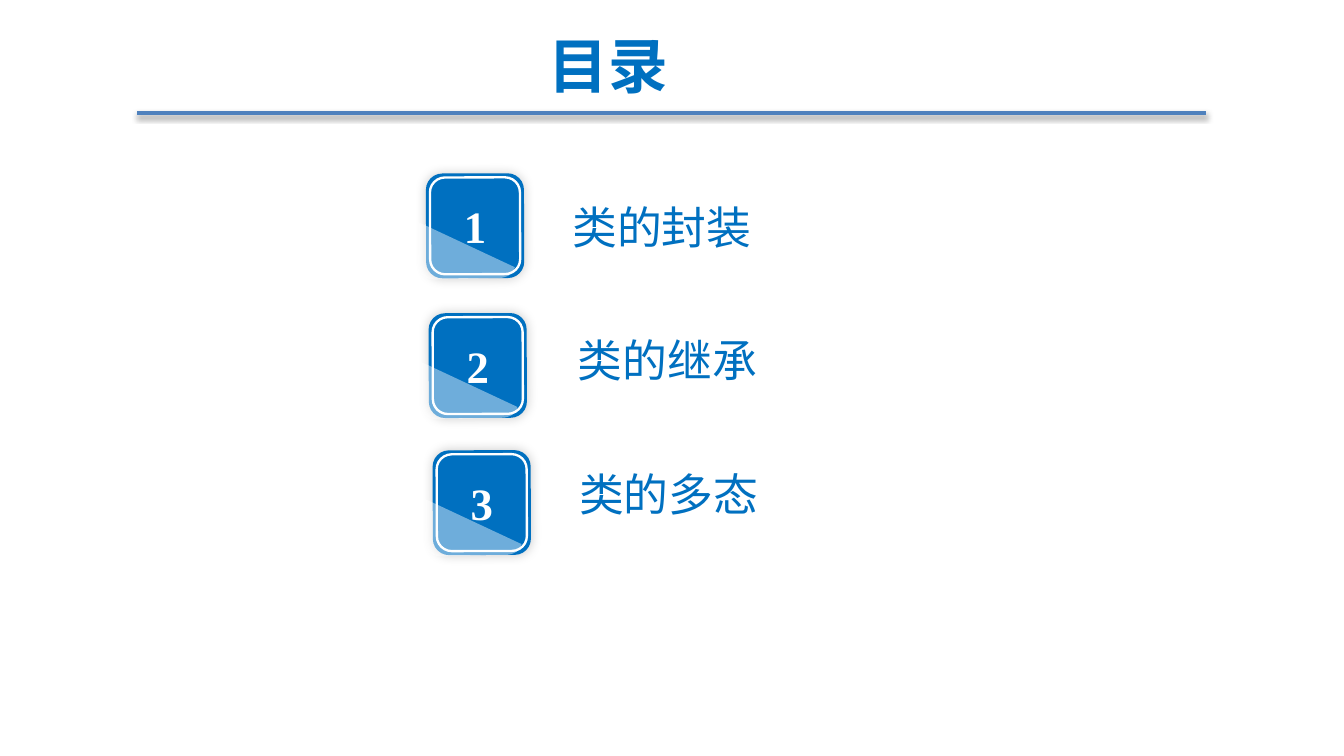
from pptx import Presentation
from pptx import util as u
from pptx.dml.color import RGBColor
from pptx.enum import shapes, text
from pptx.oxml import parse_xml
from pptx.oxml.ns import nsdecls, qn

WIDTH = 10
HEIGHT = WIDTH * 9 / 16
BLUE, RULE_BLUE, WHITE, BLACK = "0070C0", "4F81BD", "FFFFFF", "000000"
CJK, LATIN = "Noto Sans CJK SC", "Times New Roman"
TILT = -0.2

heading = "目录"
topics = [
    {"label": "类的封装", "badge": (3.17, 1.29), "box": (3.66, 1.44, 2.79, 0.5), "indent": 0.5},
    {"label": "类的继承", "badge": (3.19, 2.33), "box": (4.2, 2.43, 1.55, 0.5), "indent": 0},
    {"label": "类的多态", "badge": (3.22, 3.35), "box": (4.21, 3.42, 1.55, 0.5), "indent": 0},
]
gloss_start = (-0.06, 0.36)
gloss_edges = [
    [(0.66, 0.7)],
    [(0.65, 0.75), (0.6, 0.78), (0.54, 0.78)],
    [(0.06, 0.79)],
    [(-0.01, 0.79), (-0.06, 0.74), (-0.06, 0.69)],
]


def color(value):
    return RGBColor.from_string(value)


def inches(*values):
    return [u.Inches(value) for value in values]


def write(paragraph, words, size, font, ink, bold=False):
    run = paragraph.add_run()
    run.text = words
    run.font.size, run.font.name, run.font.bold = u.Pt(size), font, bold
    run.font.color.rgb = color(ink)
    run.font._element.get_or_add_latin().addnext(
        parse_xml(f'<a:ea {nsdecls("a")} typeface="{font}"/>'))


def cast_shadow(shape, opacity, blur, distance, angle):
    shape._element.spPr.append(parse_xml(
        f'<a:effectLst {nsdecls("a")}><a:outerShdw blurRad="{u.Pt(blur)}" '
        f'dist="{u.Pt(distance)}" dir="{angle * 60000}" algn="ctr" rotWithShape="0">'
        f'<a:srgbClr val="{BLACK}"><a:alpha val="{opacity * 1000}"/></a:srgbClr>'
        '</a:outerShdw></a:effectLst>'))


def curve(points, steps=8):
    for step in range(1, steps + 1):
        t = step / steps
        weights = ((1 - t) ** 3, 3 * t * (1 - t) ** 2, 3 * t * t * (1 - t), t ** 3)
        yield tuple(sum(w * p[axis] for w, p in zip(weights, points)) for axis in (0, 1))


def gloss_outline():
    corner = gloss_start
    for edge in gloss_edges:
        yield from edge if len(edge) == 1 else curve([corner, *edge])
        corner = edge[-1]


def add_badge(slide, number, left, top):
    group = slide.shapes.add_group_shape()
    rounded = shapes.MSO_SHAPE.ROUNDED_RECTANGLE
    tile = group.shapes.add_shape(rounded, *inches(left, top, 0.73, 0.78))
    tile.fill.solid()
    tile.fill.fore_color.rgb = color(BLUE)
    tile.line.fill.background()
    cast_shadow(tile, 20, 6, 0, 225)
    tile.text_frame.vertical_anchor = text.MSO_ANCHOR.MIDDLE
    digit = tile.text_frame.paragraphs[0]
    digit.alignment = text.PP_ALIGN.CENTER
    write(digit, str(number), 24, LATIN, WHITE, True)

    rim = group.shapes.add_shape(rounded, *inches(left + 0.03, top + 0.03, 0.67, 0.72))
    rim.fill.background()
    rim.line.color.rgb = color(WHITE)
    rim.line.width = u.Pt(1.25)
    rim.shadow.inherit = False

    def place(point):
        return inches(left + point[0], top + point[1])

    builder = group.shapes.build_freeform(*place(gloss_start))
    builder.add_line_segments([place(point) for point in gloss_outline()])
    gloss = builder.convert_to_shape()
    gloss.fill.solid()
    gloss.fill.fore_color.rgb = color(WHITE)
    tint = gloss._element.spPr.find(".//" + qn("a:srgbClr"))
    tint.append(parse_xml(f'<a:alpha {nsdecls("a")} val="43000"/>'))
    gloss.line.fill.background()
    gloss.shadow.inherit = False
    for part in (tile, rim, gloss):
        part.rotation = TILT


def add_topic(slide, label, box, indent):
    topic = slide.shapes.add_textbox(*inches(*box))
    topic.text_frame.word_wrap = indent > 0
    topic.text_frame.auto_size = text.MSO_AUTO_SIZE.SHAPE_TO_FIT_TEXT
    line = topic.text_frame.paragraphs[0]
    line.level = 1
    properties = line._p.get_or_add_pPr()
    properties.set("marL", str(u.Inches(indent)))
    properties.set("indent", "0")
    write(line, label, 24, CJK, BLUE)


def main():
    deck = Presentation()
    deck.slide_width, deck.slide_height = inches(WIDTH, HEIGHT)
    slide = deck.slides.add_slide(deck.slide_layouts[5])

    title = slide.shapes.title
    title.left, title.top, title.width, title.height = inches(3.98, 0.09, 2.23, 0.85)
    title.text_frame.vertical_anchor = text.MSO_ANCHOR.MIDDLE
    title_line = title.text_frame.paragraphs[0]
    title_line.alignment = text.PP_ALIGN.LEFT
    title_line.line_spacing = 0.9
    write(title_line, heading, 32, CJK, BLUE, True)

    rule = slide.shapes.add_connector(
        shapes.MSO_CONNECTOR.STRAIGHT, *inches(1.02, 0.84, 8.97, 0.84))
    rule.line.color.rgb = color(RULE_BLUE)
    rule.line.width = u.Pt(2)
    cast_shadow(rule, 38, 3.1, 1.6, 90)

    for number, topic in enumerate(topics, 1):
        add_topic(slide, topic["label"], topic["box"], topic["indent"])
        add_badge(slide, number, *topic["badge"])

    deck.save("out.pptx")


if __name__ == "__main__":
    main()
